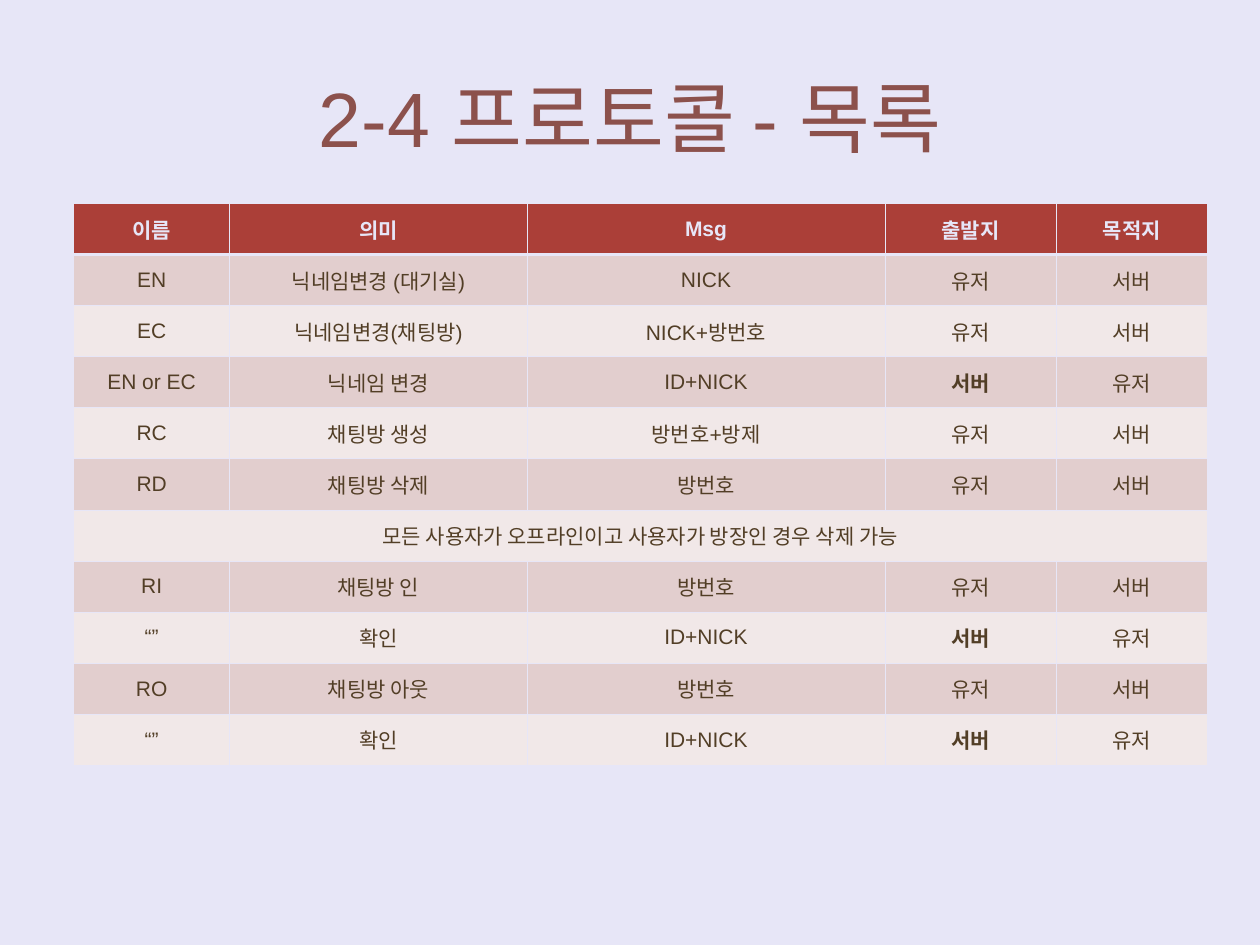
import dataclasses

import lxml.etree
import pptx
import pptx.dml.color
import pptx.enum.text
import pptx.oxml.ns
import pptx.util

Pt = pptx.util.Pt
qn = pptx.oxml.ns.qn

HEADINGS = ["이름", "의미", "Msg", "출발지", "목적지"]
MESSAGES = [
    ["EN", "닉네임변경 (대기실)", "NICK", "유저", "서버"],
    ["EC", "닉네임변경(채팅방)", "NICK+방번호", "유저", "서버"],
    ["EN or EC", "닉네임 변경", "ID+NICK", "서버", "유저"],
    ["RC", "채팅방 생성", "방번호+방제", "유저", "서버"],
    ["RD", "채팅방 삭제", "방번호", "유저", "서버"],
    ["모든 사용자가 오프라인이고 사용자가 방장인 경우 삭제 가능"],
    ["RI", "채팅방 인", "방번호", "유저", "서버"],
    ["“”", "확인", "ID+NICK", "서버", "유저"],
    ["RO", "채팅방 아웃", "방번호", "유저", "서버"],
    ["“”", "확인", "ID+NICK", "서버", "유저"],
]
COLUMN_WIDTHS = [89.3, 169.9, 204.5, 97.9, 86.4]
ROW_HEIGHT = 29.2
SOURCE_COLUMN = HEADINGS.index("출발지")


@dataclasses.dataclass(frozen=True)
class Theme:
    font: str = "Arial"
    title_size: float = 44
    cell_size: float = 12
    background: str = "E7E6F7"
    title: str = "8C514C"
    header: str = "AB3F38"
    text: str = "523E26"
    bands: tuple = ("E2CECE", "F1E8E8")
    rule: float = 0.45
    header_rule: float = 1.47


class ProtocolSlide:
    """Holds the theme and the slide, and adds each kind of element."""

    def __init__(self, presentation, theme):
        self.theme = theme
        self.slide = presentation.slides.add_slide(presentation.slide_layouts[5])
        self.paint(self.slide.background.fill, theme.background)

    def paint(self, fill, color):
        fill.solid()
        fill.fore_color.rgb = pptx.dml.color.RGBColor.from_string(color)

    def set_text(self, frame, text, size, color, bold=False):
        frame.text = text
        paragraph = frame.paragraphs[0]
        paragraph.alignment = pptx.enum.text.PP_ALIGN.CENTER
        font = paragraph.runs[0].font
        formats = {"name": self.theme.font, "size": Pt(size), "bold": bold}
        for attribute, value in formats.items():
            setattr(font, attribute, value)
        font.color.rgb = pptx.dml.color.RGBColor.from_string(color)

    def add_title(self, text, left, top, width, height):
        title = self.slide.shapes.title
        bounds = {"left": left, "top": top, "width": width, "height": height}
        for attribute, value in bounds.items():
            setattr(title, attribute, Pt(value))
        title.text_frame.vertical_anchor = pptx.enum.text.MSO_ANCHOR.MIDDLE
        self.set_text(title.text_frame, text, self.theme.title_size, self.theme.title)

    def add_borders(self, cell, row):
        theme = self.theme
        widths = {
            "a:lnL": theme.rule,
            "a:lnR": theme.rule,
            "a:lnT": theme.header_rule if row == 1 else theme.rule,
            "a:lnB": theme.header_rule if row == 0 else theme.rule,
        }
        properties = cell._tc.get_or_add_tcPr()
        for side, width in widths.items():
            line = lxml.etree.SubElement(properties, qn(side), w=str(int(Pt(width))))
            solid = lxml.etree.SubElement(line, qn("a:solidFill"))
            lxml.etree.SubElement(solid, qn("a:srgbClr"), val=theme.background)

    def add_cell(self, cell, text, row, column):
        theme = self.theme
        is_header = row == 0
        from_server = column == SOURCE_COLUMN and text == "서버"
        formats = {
            "vertical_anchor": pptx.enum.text.MSO_ANCHOR.MIDDLE,
            "margin_left": Pt(7.2),
            "margin_right": Pt(7.2),
            "margin_top": Pt(3.6),
            "margin_bottom": Pt(3.6),
        }
        for attribute, value in formats.items():
            setattr(cell, attribute, value)
        self.add_borders(cell, row)
        self.paint(cell.fill, theme.header if is_header else theme.bands[(row - 1) % 2])
        if text:
            color = theme.background if is_header else theme.text
            self.set_text(cell.text_frame, text, theme.cell_size, color, is_header or from_server)

    def add_table(self, rows, left, top):
        count = len(COLUMN_WIDTHS)
        frame = self.slide.shapes.add_table(
            len(rows), count, Pt(left), Pt(top), Pt(sum(COLUMN_WIDTHS)), Pt(ROW_HEIGHT * len(rows))
        )
        table = frame.table
        for column, width in zip(table.columns, COLUMN_WIDTHS):
            column.width = Pt(width)
        for row, texts in enumerate(rows):
            table.rows[row].height = Pt(ROW_HEIGHT)
            if len(texts) == 1:
                table.cell(row, 0).merge(table.cell(row, count - 1))
            for column in range(count):
                text = texts[column] if column < len(texts) else ""
                self.add_cell(table.cell(row, column), text, row, column)


def main():
    presentation = pptx.Presentation()
    presentation.slide_width, presentation.slide_height = Pt(720), Pt(540)
    protocol = ProtocolSlide(presentation, Theme())
    protocol.add_title("2-4 프로토콜 - 목록", 36, 21.6, 648, 90)
    protocol.add_table([HEADINGS] + MESSAGES, 42, 116.2)
    presentation.save("out.pptx")


if __name__ == "__main__":
    main()
